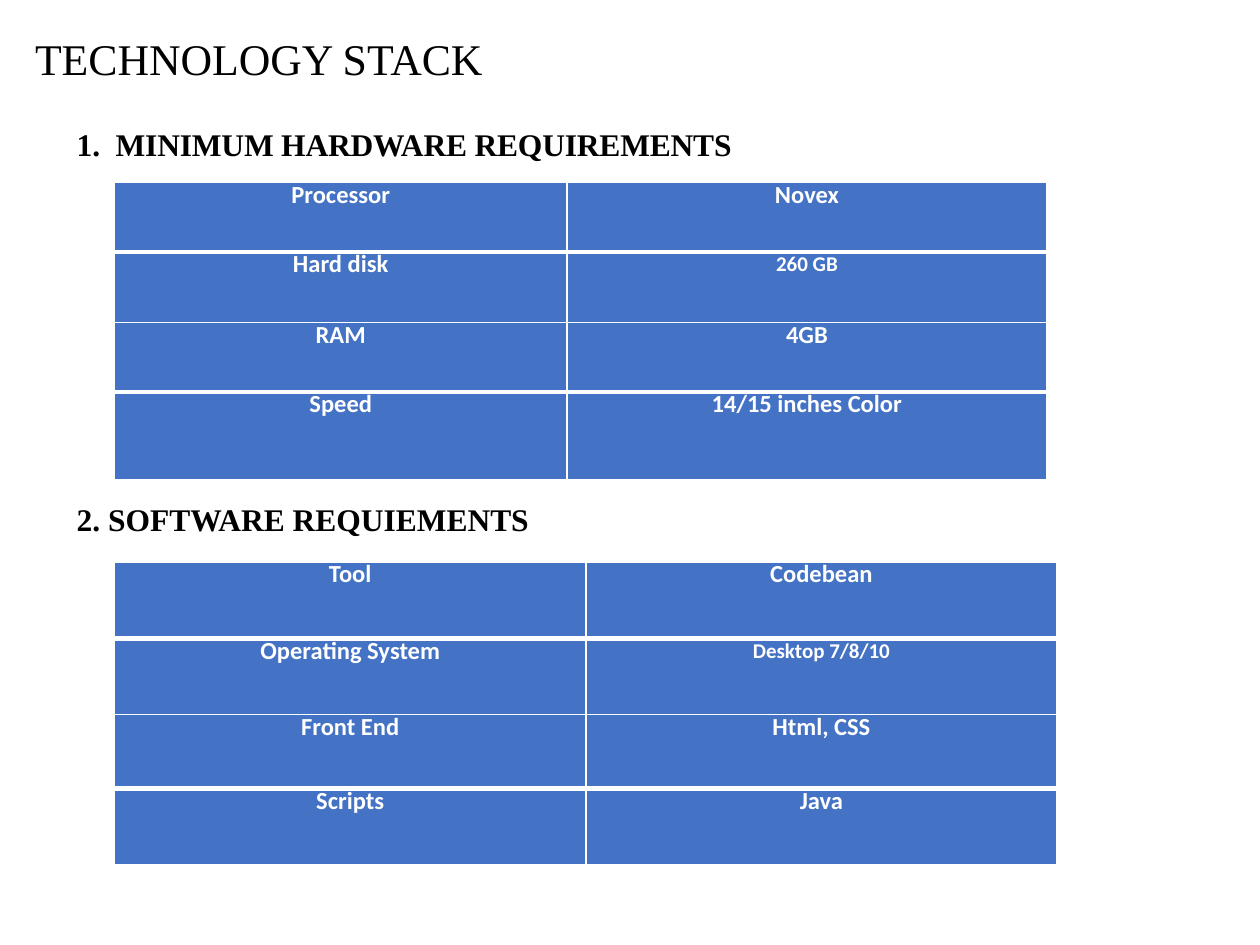
from dataclasses import dataclass

from lxml.etree import SubElement
from pptx import Presentation
from pptx.dml.color import RGBColor
from pptx.enum.text import MSO_AUTO_SIZE, PP_ALIGN
from pptx.oxml.ns import qn
from pptx.slide import Slide
from pptx.table import _Cell as Cell
from pptx.text.text import TextFrame
from pptx.util import Inches, Pt

HUES = {"ink": "000000", "paper": "FFFFFF", "cell": "4472C4"}
SERIF = "Times New Roman"
SANS = "Calibri"


@dataclass
class Label:
    text: str
    left: float
    top: float
    width: float
    height: float
    size: float = 18
    bold: bool = True
    number: bool = False


@dataclass
class Grid:
    left: float
    top: float
    cols: list[float]
    rows: list[float]
    pads: list[float]
    data: list[tuple[str, str]]


LABELS = [
    Label("TECHNOLOGY STACK", 0.18, 0.2, 9.65, 0.52, size=25, bold=False),
    Label("MINIMUM HARDWARE REQUIREMENTS", 0.51, 0.94, 6.91, 0.4, number=True),
    Label("2. SOFTWARE REQUIEMENTS", 0.51, 3.92, 5.18, 0.4),
]
GRIDS = [
    Grid(0.91, 1.45, [3.59, 3.81], [0.55, 0.56, 0.55, 0.7], [1.08, 1.01], [
        ("Processor", "Novex"),
        ("Hard disk", "260 GB"),
        ("RAM", "4GB"),
        ("Speed", "14/15 inches Color"),
    ]),
    Grid(0.91, 4.46, [3.74, 3.74], [0.61, 0.6, 0.59, 0.6], [0.99, 0.96], [
        ("Tool", "Codebean"),
        ("Operating System", "Desktop 7/8/10"),
        ("Front End", "Html, CSS"),
        ("Scripts", "Java"),
    ]),
]


def write(frame: TextFrame, text: str, *, size: float, font: str, hue: str,
          bold: bool = False, align: PP_ALIGN = PP_ALIGN.LEFT,
          pad: float = 0, before: float = 0, line: float = 0,
          number: bool = False) -> None:
    para = frame.paragraphs[0]
    para.alignment = align
    if before:
        para.space_before = Pt(before)
    if line:
        para.line_spacing = Pt(line)
    run = para.add_run()
    run.text = text
    run.font.size = Pt(size)
    run.font.name = font
    run.font.bold = bold
    run.font.color.rgb = RGBColor.from_string(HUES[hue])
    props = para._p.get_or_add_pPr()
    if pad:
        props.set("marL", str(Inches(pad)))
        props.set("marR", str(Inches(pad)))
    if number:
        props.set("marL", str(Inches(0.31)))
        props.set("indent", str(Inches(-0.31)))
        SubElement(props, qn("a:buAutoNum"), type="arabicPeriod")
        run.font._element.set("spc", "-10")


def border(cell: Cell, above: float, below: float) -> None:
    props = cell._tc.get_or_add_tcPr()
    for side, width in zip("LRTB", (1, 1, above, below)):
        edge = SubElement(props, qn(f"a:ln{side}"), w=str(Pt(width)))
        fill = SubElement(edge, qn("a:solidFill"))
        SubElement(fill, qn("a:srgbClr"), val=HUES["paper"])


def draw_label(slide: Slide, label: Label) -> None:
    box = slide.shapes.add_textbox(
        Inches(label.left), Inches(label.top),
        Inches(label.width), Inches(label.height))
    frame = box.text_frame
    frame.word_wrap = True
    frame.auto_size = MSO_AUTO_SIZE.SHAPE_TO_FIT_TEXT
    write(frame, label.text, size=label.size, font=SERIF, hue="ink",
          bold=label.bold, number=label.number,
          before=4.3 if label.number else 0)


def draw_grid(slide: Slide, grid: Grid) -> None:
    table = slide.shapes.add_table(
        len(grid.rows), len(grid.cols), Inches(grid.left), Inches(grid.top),
        Inches(sum(grid.cols)), Inches(sum(grid.rows))).table
    table.first_row = table.horz_banding = False
    for col, width in zip(table.columns, grid.cols):
        col.width = Inches(width)
    for row, height in zip(table.rows, grid.rows):
        row.height = Inches(height)
    last = len(grid.rows) - 1
    for y, texts in enumerate(grid.data):
        for x, text in enumerate(texts):
            cell = table.cell(y, x)
            cell.margin_left = cell.margin_right = Inches(0)
            cell.margin_top = cell.margin_bottom = Inches(0)
            border(cell, 3 if y in (1, last) else 1,
                   3 if y in (0, last - 1) else 1)
            cell.fill.solid()
            cell.fill.fore_color.rgb = RGBColor.from_string(HUES["cell"])
            small = (y, x) == (1, 1)
            line = 15.8 if y == last else 15.6
            write(cell.text_frame, text, size=12 if small else 14,
                  font=SANS, hue="paper", bold=True, align=PP_ALIGN.CENTER,
                  pad=grid.pads[x], before=1.4 if small else 0,
                  line=0 if small else line)


def main() -> None:
    deck = Presentation()
    deck.slide_width = Inches(10)
    deck.slide_height = Inches(7.5)
    slide = deck.slides.add_slide(deck.slide_layouts[6])
    for label in LABELS:
        draw_label(slide, label)
    for grid in GRIDS:
        draw_grid(slide, grid)
    deck.save("out.pptx")


if __name__ == "__main__":
    main()
